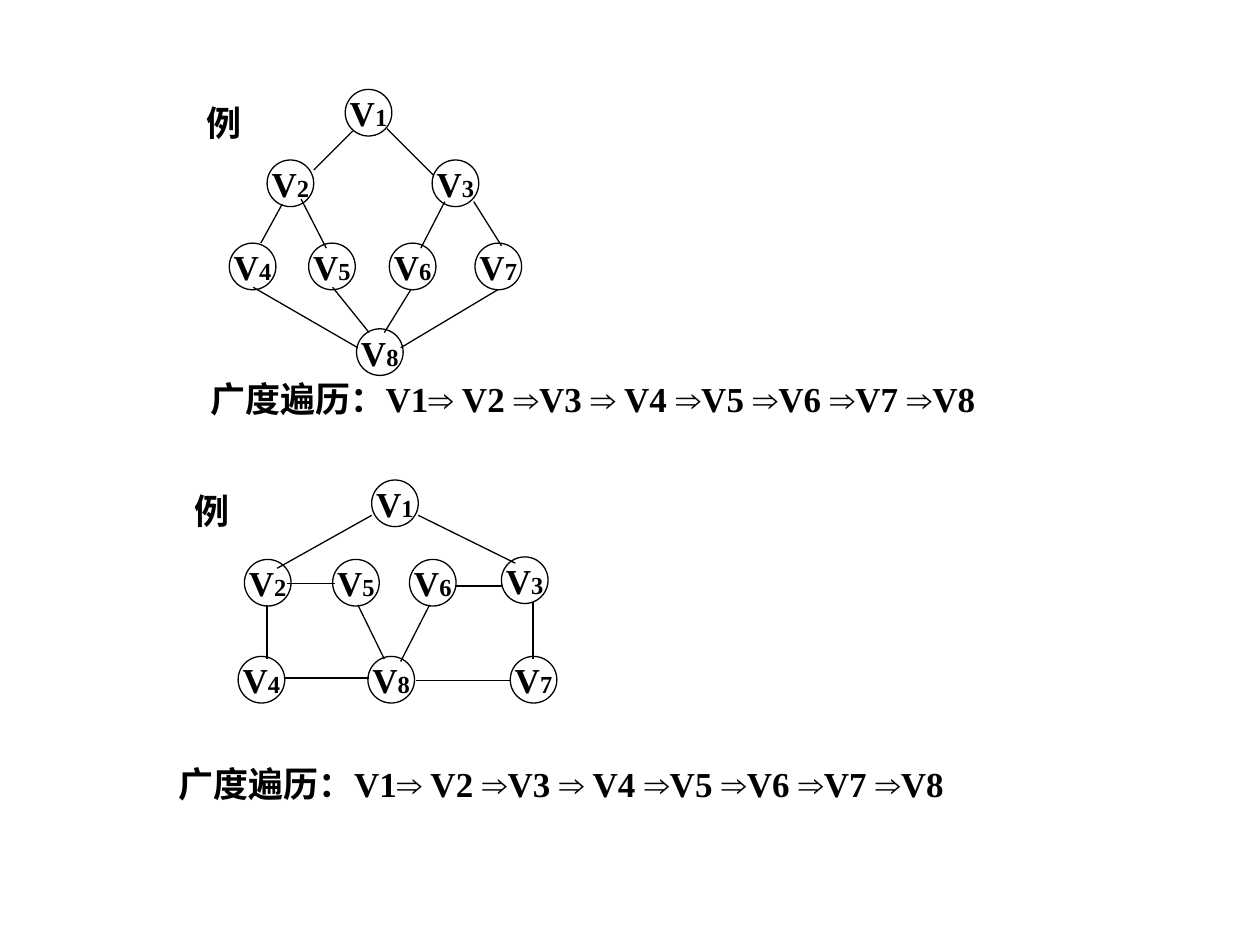
from dataclasses import dataclass
from lxml import etree
from pptx import Presentation
from pptx.dml.color import RGBColor
from pptx.enum.shapes import MSO_CONNECTOR, MSO_SHAPE
from pptx.enum.text import MSO_ANCHOR, MSO_AUTO_SIZE, PP_ALIGN
from pptx.oxml.ns import qn
from pptx.util import Inches, Pt

OVAL, LINE = MSO_SHAPE.OVAL, MSO_CONNECTOR.STRAIGHT
MIDDLE, TOP = MSO_ANCHOR.MIDDLE, MSO_ANCHOR.TOP
CENTER, LEFT = PP_ALIGN.CENTER, PP_ALIGN.LEFT
FIT_TEXT = MSO_AUTO_SIZE.SHAPE_TO_FIT_TEXT

# Grid of 100 columns by 75 rows of square cells
SLIDE_W, SLIDE_H = Inches(10), Inches(7.5)
CELL = SLIDE_W / 100
NODE = 3.7
LABEL_H = 4.4


@dataclass(frozen=True)
class Theme:
    ink: RGBColor = RGBColor(0, 0, 0)
    font: str = "Times New Roman"
    arrow_font: str = "Arial"
    size: Pt = Pt(20)
    index_size: Pt = Pt(14)
    stroke: Pt = Pt(0.75)


THEME = Theme()
ARROW = "⇒"
TRAVERSAL = "广度遍历：V1⇒ V2 ⇒V3 ⇒ V4 ⇒V5 ⇒V6 ⇒V7 ⇒V8"

# Vertices by number: column, row. Edges: start column, row, end column, row
LAYERED_NODES = {
    1: (27.4, 7.1), 2: (21.2, 12.7), 3: (34.3, 12.7), 4: (18.2, 19.3),
    5: (24.5, 19.3), 6: (30.9, 19.3), 7: (37.7, 19.3), 8: (28.3, 26.1),
}
LAYERED_EDGES = [
    (28, 10.4, 24.9, 13.5), (30.7, 10.2, 34.4, 13.9),
    (22.4, 16.2, 20.7, 19.3), (23.9, 15.8, 25.9, 19.7),
    (35.3, 16, 33.4, 19.7), (37.6, 16, 39.8, 19.5),
    (26.4, 22.8, 29.3, 26.4), (32.6, 23, 30.5, 26.4),
    (20.1, 22.8, 28.4, 27.6), (39.5, 23, 31.8, 27.6),
]
MESH_NODES = {
    1: (29.5, 38.1), 2: (19.4, 44.4), 3: (39.8, 44.2), 4: (18.9, 52.1),
    5: (26.4, 44.4), 6: (32.5, 44.4), 7: (40.5, 52.1), 8: (29.2, 52.1),
}
MESH_EDGES = [
    (29.5, 40.9, 22, 45.1), (33.2, 40.9, 40.9, 44.7),
    (22.8, 46.3, 26.6, 46.3), (36.1, 46.5, 39.9, 46.5),
    (21.2, 48, 21.2, 52.3), (22.6, 53.8, 29.3, 53.8),
    (33, 54, 40.5, 54), (42.3, 47.8, 42.3, 52.3),
    (28.4, 48, 30.5, 52.3), (34.1, 48, 31.8, 52.5),
]


def cells(*counts):
    return [round(n * CELL) for n in counts]


def style_paragraph(p, align):
    p.alignment = align
    p.font.name = THEME.font
    p.font.size = THEME.size
    p.font.bold = True
    p.font.color.rgb = THEME.ink


def add_run(p, text):
    r = p.add_run()
    r.text = text
    return r


def add_vertex(shapes, number, col, row):
    sp = shapes.add_shape(OVAL, *cells(col, row, NODE, NODE))
    sp.shadow.inherit = False
    sp.fill.background()
    sp.line.color.rgb = THEME.ink
    sp.line.width = THEME.stroke
    tf = sp.text_frame
    tf.word_wrap = False
    tf.vertical_anchor = MIDDLE
    p = tf.paragraphs[0]
    style_paragraph(p, CENTER)
    add_run(p, "V")
    add_run(p, str(number)).font.size = THEME.index_size


def add_edge(shapes, ends):
    line = shapes.add_connector(LINE, *cells(*ends))
    line.line.color.rgb = THEME.ink
    line.line.width = THEME.stroke
    etree.SubElement(line._element.spPr, qn("a:effectLst"))


def add_label(shapes, text, col, row, width, align, anchor):
    tf = shapes.add_textbox(*cells(col, row, width, LABEL_H)).text_frame
    tf.word_wrap = False
    tf.auto_size = FIT_TEXT
    tf.vertical_anchor = anchor
    p = tf.paragraphs[0]
    style_paragraph(p, align)
    for i, part in enumerate(text.split(ARROW)):
        if i:
            add_run(p, ARROW).font.name = THEME.arrow_font
        add_run(p, part)


def add_graph(slide, nodes, edges, title_at):
    shapes = slide.shapes.add_group_shape().shapes
    for number, place in nodes.items():
        add_vertex(shapes, number, *place)
    for ends in edges:
        add_edge(shapes, ends)
    add_label(shapes, "例", *title_at, 4.8, CENTER, MIDDLE)


def main():
    prs = Presentation()
    prs.slide_width, prs.slide_height = SLIDE_W, SLIDE_H
    slide = prs.slides.add_slide(prs.slide_layouts[6])

    # Example graphs
    add_graph(slide, LAYERED_NODES, LAYERED_EDGES, (15.4, 7.5))
    add_graph(slide, MESH_NODES, MESH_EDGES, (14.4, 38.3))

    # Breadth-first order below each graph
    for col, row in [(15.7, 29.5), (13.2, 60)]:
        add_label(slide.shapes, TRAVERSAL, col, row, 64.9, LEFT, TOP)

    prs.save("out.pptx")


if __name__ == "__main__":
    main()
